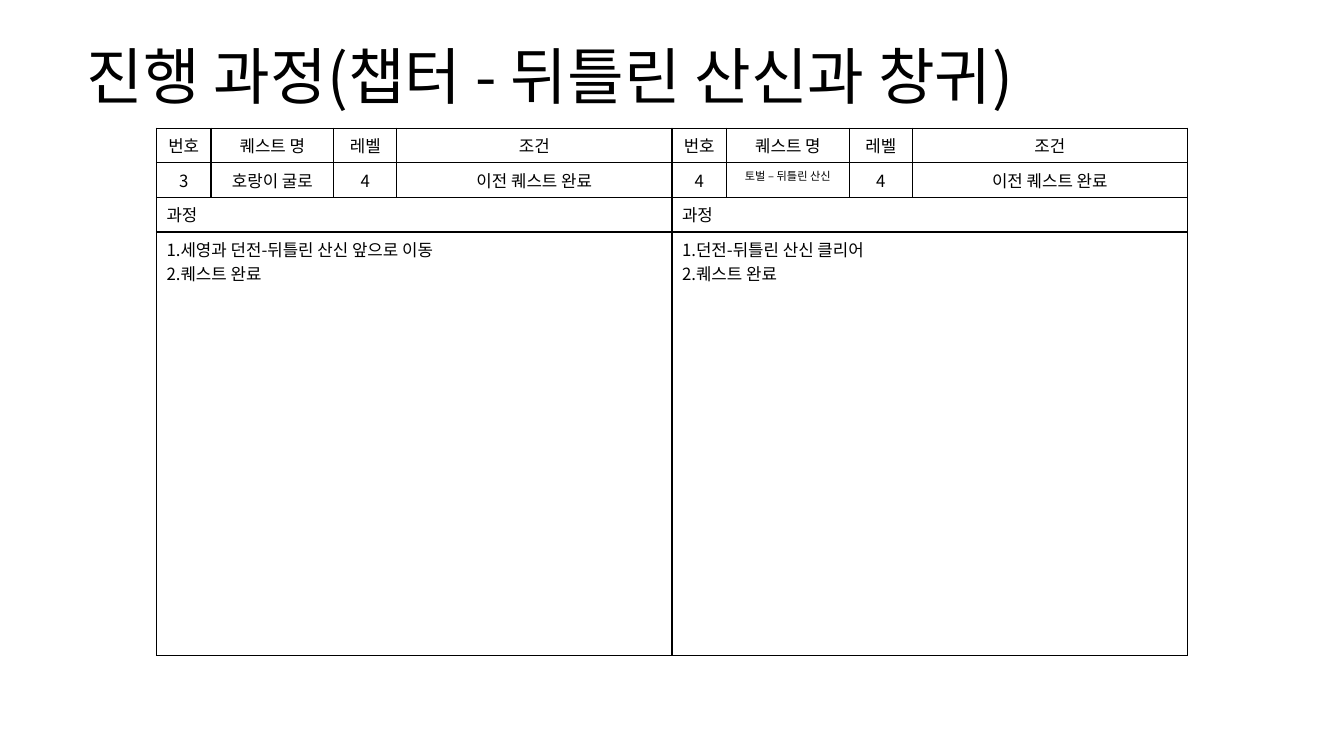
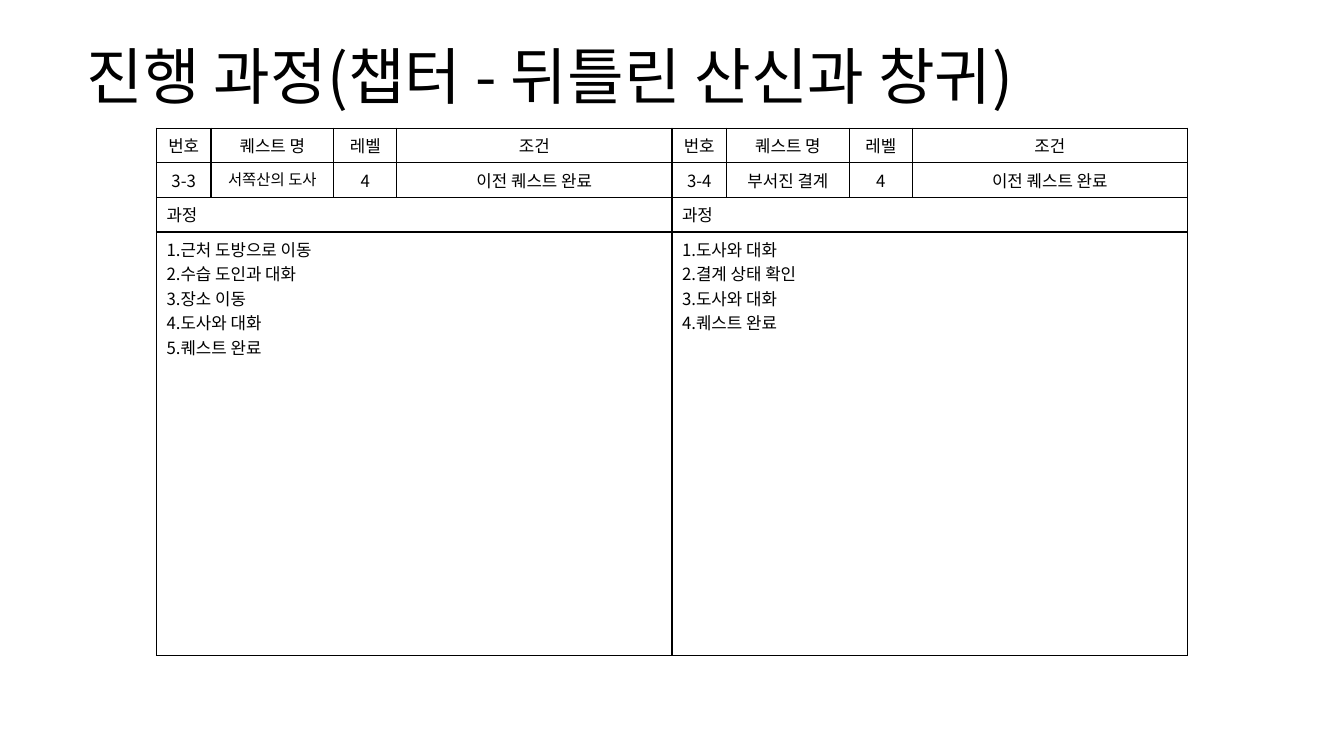
from lxml import etree
from pptx import Presentation
from pptx.dml.color import RGBColor
from pptx.enum.text import MSO_ANCHOR, MSO_AUTO_SIZE, PP_ALIGN
from pptx.oxml.ns import qn
from pptx.util import Pt

CENTER, LEFT = PP_ALIGN.CENTER, PP_ALIGN.LEFT
MIDDLE, NO_FIT = MSO_ANCHOR.MIDDLE, MSO_AUTO_SIZE.NONE
PX = 9525
FONT = "Noto Sans CJK KR"
COLORS = {"text": "000000", "border": "000000", "cell": "FFFFFF"}

TITLE = "진행 과정(챕터 - 뒤틀린 산신과 창귀)"
HEADERS = ["번호", "퀘스트 명", "레벨", "조건"]
LEVEL, CONDITION = "4", "이전 퀘스트 완료"
COLS = [52, 117, 60, 262]
ROWS = [33, 33, 33, 403]
TABLE_LEFT, TABLE_TOP = 149, 122

SLIDES = [
    [
        ("3", "호랑이 굴로", 12,
         ["세영과 던전-뒤틀린 산신 앞으로 이동", "퀘스트 완료"]),
        ("4", "토벌 – 뒤틀린 산신", 8,
         ["던전-뒤틀린 산신 클리어", "퀘스트 완료"]),
    ],
    [
        ("3-3", "서쪽산의 도사", 11,
         ["근처 도방으로 이동", "수습 도인과 대화", "장소 이동",
          "도사와 대화", "퀘스트 완료"]),
        ("3-4", "부서진 결계", 12,
         ["도사와 대화", "결계 상태 확인", "도사와 대화", "퀘스트 완료"]),
    ],
]


def write(tf, lines, size, align):
    for i, line in enumerate(lines):
        p = tf.paragraphs[0] if i == 0 else tf.add_paragraph()
        p.alignment = align
        r = p.add_run()
        r.text = line
        r.font.size = Pt(size)
        r.font.name = FONT
        r.font.color.rgb = RGBColor.from_string(COLORS["text"])
        etree.SubElement(r.font._element, qn("a:ea"), typeface=FONT)


def style_cell(cell):
    tcPr = cell._tc.get_or_add_tcPr()
    for side in ("a:lnL", "a:lnR", "a:lnT", "a:lnB"):
        ln = etree.SubElement(tcPr, qn(side), w=str(Pt(1)))
        fill = etree.SubElement(ln, qn("a:solidFill"))
        etree.SubElement(fill, qn("a:srgbClr"), val=COLORS["border"])
    cell.fill.solid()
    cell.fill.fore_color.rgb = RGBColor.from_string(COLORS["cell"])


prs = Presentation()
prs.slide_width, prs.slide_height = 1280 * PX, 720 * PX

for quests in SLIDES:
    s = prs.slides.add_slide(prs.slide_layouts[5])
    title = s.shapes.title
    title.left, title.top = 73 * PX, 31 * PX
    title.width, title.height = 1134 * PX, 90 * PX
    tf = title.text_frame
    tf.word_wrap = True
    tf.auto_size = NO_FIT
    tf.vertical_anchor = MIDDLE
    write(tf, [TITLE], 44, LEFT)
    tf.paragraphs[0].line_spacing = 0.9

    for i, (number, name, name_size, steps) in enumerate(quests):
        left = TABLE_LEFT + i * sum(COLS)
        table = s.shapes.add_table(
            len(ROWS), len(COLS), left * PX, TABLE_TOP * PX,
            sum(COLS) * PX, sum(ROWS) * PX).table
        table.first_row = table.horz_banding = False
        for col, width in zip(table.columns, COLS):
            col.width = width * PX
        for row, height in zip(table.rows, ROWS):
            row.height = height * PX
        for cell in table.iter_cells():
            style_cell(cell)

        values = [number, name, LEVEL, CONDITION]
        for c, (header, value) in enumerate(zip(HEADERS, values)):
            size = name_size if value == name else 12
            write(table.cell(0, c).text_frame, [header], 12, CENTER)
            write(table.cell(1, c).text_frame, [value], size, CENTER)

        numbered = [f"{n}.{step}" for n, step in enumerate(steps, 1)]
        for r, lines in ((2, ["과정"]), (3, numbered)):
            table.cell(r, 0).merge(table.cell(r, len(COLS) - 1))
            write(table.cell(r, 0).text_frame, lines, 12, LEFT)

prs.save("out.pptx")
